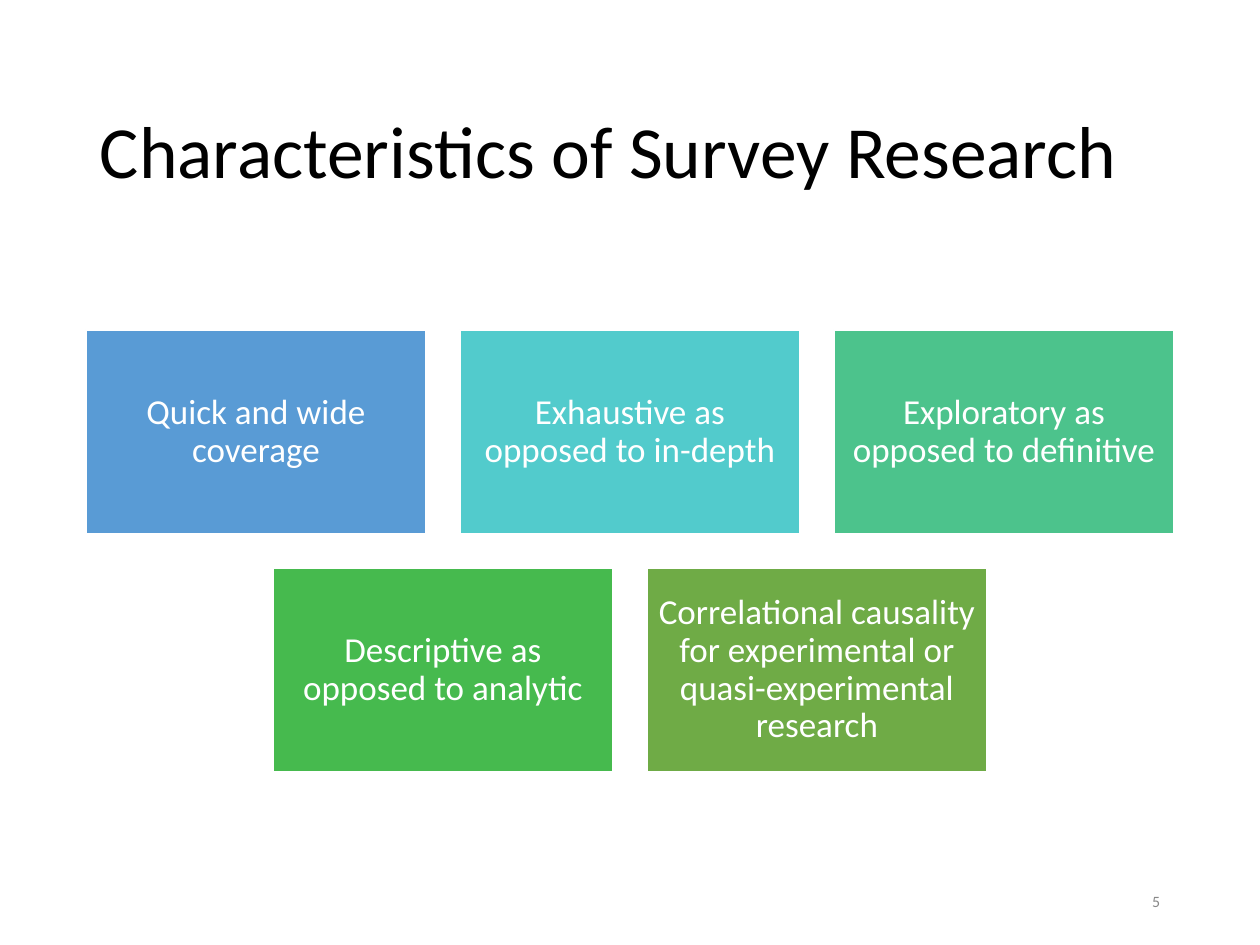
from pptx import Presentation
from pptx.dml.color import RGBColor
from pptx.enum.shapes import MSO_SHAPE
from pptx.enum.text import MSO_ANCHOR, PP_ALIGN
from pptx.util import Emu, Pt

RECTANGLE = MSO_SHAPE.RECTANGLE
MIDDLE = MSO_ANCHOR.MIDDLE
LEFT, CENTER, RIGHT = PP_ALIGN.LEFT, PP_ALIGN.CENTER, PP_ALIGN.RIGHT

WHITE = RGBColor(0xFF, 0xFF, 0xFF)
BLACK = RGBColor(0x00, 0x00, 0x00)
GRAY = RGBColor(0x88, 0x88, 0x88)
BLUE = RGBColor(0x59, 0x9B, 0xD5)
TEAL = RGBColor(0x52, 0xCB, 0xCC)
MINT = RGBColor(0x4C, 0xC3, 0x8C)
GREEN = RGBColor(0x46, 0xBA, 0x4E)
OLIVE = RGBColor(0x6F, 0xAB, 0x46)

PX_PER_INCH = 126
SLIDE_WIDTH, SLIDE_HEIGHT = 1260, 945
CARD_WIDTH, CARD_HEIGHT, GAP = 340, 204, 34
CARDS_TOP = 330

CARD_ROWS = [
    [
        ("Quick and wide coverage", BLUE),
        ("Exhaustive as opposed to in-depth", TEAL),
        ("Exploratory as opposed to definitive", MINT),
    ],
    [
        ("Descriptive as opposed to analytic", GREEN),
        ("Correlational causality for experimental or quasi-experimental research", OLIVE),
    ],
]


def px(length):
    return Emu(round(length * 914400 / PX_PER_INCH))


def set_attributes(target, values):
    for name, value in values.items():
        setattr(target, name, value)


class SlideBuilder:
    font_name = "Calibri"

    def __init__(self, slide):
        self.slide = slide

    def fill_text(self, frame, text, size, color, alignment, spacing, insets):
        side, end = map(px, insets)
        set_attributes(frame, {
            "word_wrap": True,
            "vertical_anchor": MIDDLE,
            "margin_left": side,
            "margin_right": side,
            "margin_top": end,
            "margin_bottom": end,
        })
        paragraph = frame.paragraphs[0]
        set_attributes(paragraph, {"alignment": alignment, "line_spacing": spacing})
        run = paragraph.add_run()
        run.text = text
        set_attributes(run.font, {"name": self.font_name, "size": Pt(size)})
        run.font.color.rgb = color

    def label(self, box, text, size, color, alignment=LEFT, spacing=1.0):
        label = self.slide.shapes.add_textbox(*map(px, box))
        self.fill_text(label.text_frame, text, size, color, alignment, spacing, (13, 6))

    def card(self, box, text, fill):
        card = self.slide.shapes.add_shape(RECTANGLE, *map(px, box))
        card.shadow.inherit = False
        card.fill.solid()
        card.fill.fore_color.rgb = fill
        card.line.color.rgb = WHITE
        card.line.width = Pt(1)
        self.fill_text(card.text_frame, text, 20, WHITE, CENTER, 0.9, (10, 10))

    def centered_row(self, top, cards):
        pitch = CARD_WIDTH + GAP
        left = (SLIDE_WIDTH - len(cards) * pitch + GAP) // 2
        for column, (text, fill) in enumerate(cards):
            self.card((left + column * pitch, top, CARD_WIDTH, CARD_HEIGHT), text, fill)


def main():
    deck = Presentation()
    deck.slide_width, deck.slide_height = px(SLIDE_WIDTH), px(SLIDE_HEIGHT)
    builder = SlideBuilder(deck.slides.add_slide(deck.slide_layouts[6]))
    builder.label((87, 77, 1086, 156), "Characteristics of Survey Research", 42, BLACK, spacing=0.9)
    for row, cards in enumerate(CARD_ROWS):
        builder.centered_row(CARDS_TOP + row * (CARD_HEIGHT + GAP), cards)
    builder.label((890, 876, 283, 50), "5", 9, GRAY, RIGHT)
    deck.save("out.pptx")


if __name__ == "__main__":
    main()
